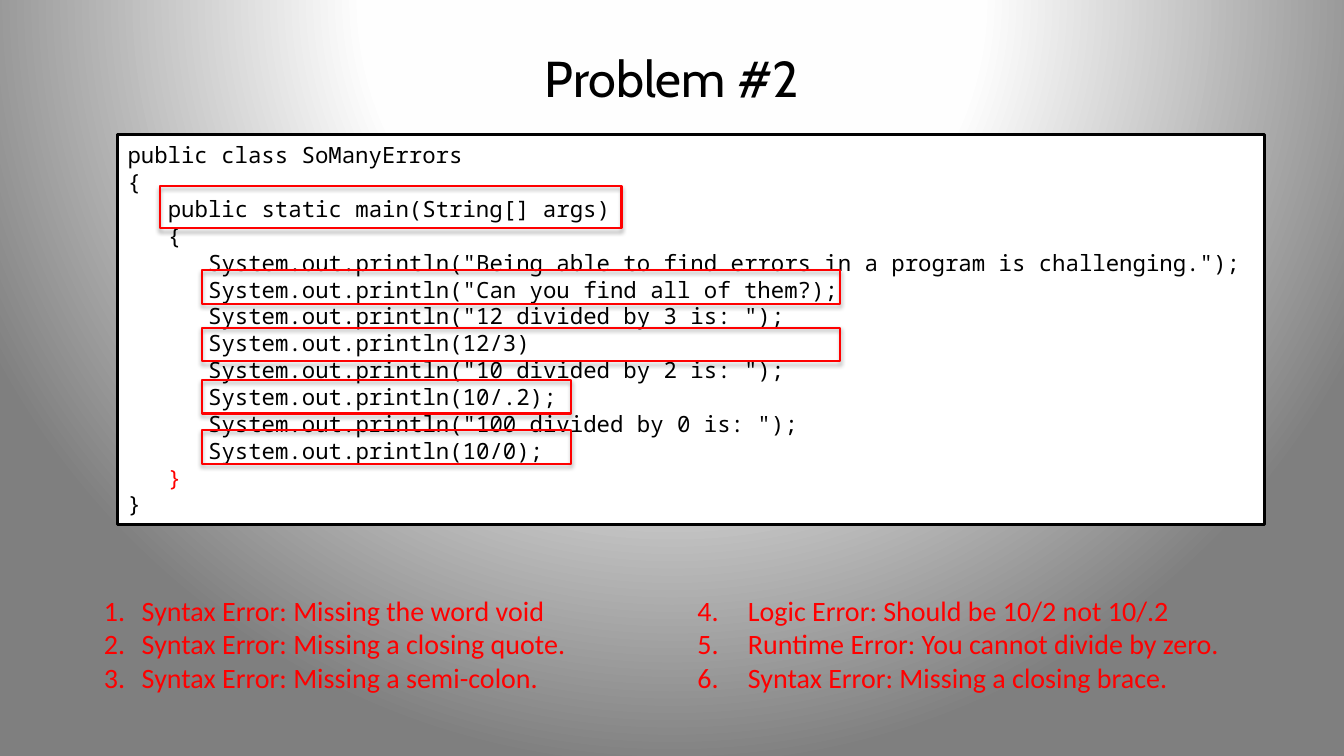
from dataclasses import dataclass

from pptx import Presentation
from pptx.dml.color import RGBColor
from pptx.enum.shapes import MSO_SHAPE
from pptx.enum.text import MSO_ANCHOR, MSO_AUTO_SIZE, PP_ALIGN
from pptx.oxml import parse_xml
from pptx.oxml.ns import nsdecls
from pptx.util import Pt


@dataclass(frozen=True)
class Theme:
    black: str = "000000"
    white: str = "FFFFFF"
    red: str = "FF0000"
    backdrop: tuple = ((0, "FFFFFF"), (40, "FEFEFE"), (100, "7F7F7F"))
    title_font: str = "Cabin"
    code_font: str = "Noto Sans Mono"
    list_font: str = "Calibri"
    title_size: float = 36
    code_size: float = 16
    list_size: float = 20
    code_leading: float = 19.2
    code_indent: float = 28.8


@dataclass(frozen=True)
class Box:
    left: float
    top: float
    width: float
    height: float


@dataclass(frozen=True)
class CodeLine:
    level: int
    text: str
    color: str = Theme.black


@dataclass(frozen=True)
class ErrorList:
    box: Box
    start: int
    indent: float
    items: tuple


T = Theme()
TITLE_BOX = Box(48, 18, 864, 74)
CODE_BOX = Box(84, 96, 819.4, 278.6)

CODE = (
    CodeLine(0, "public class SoManyErrors"),
    CodeLine(0, "{"),
    CodeLine(1, "public static main(String[] args)"),
    CodeLine(1, "{"),
    CodeLine(2, 'System.out.println("Being able to find errors in a program is challenging.");'),
    CodeLine(2, 'System.out.println("Can you find all of them?);'),
    CodeLine(2, 'System.out.println("12 divided by 3 is: ");'),
    CodeLine(2, "System.out.println(12/3)"),
    CodeLine(2, 'System.out.println("10 divided by 2 is: ");'),
    CodeLine(2, "System.out.println(10/.2);"),
    CodeLine(2, 'System.out.println("100 divided by 0 is: ");'),
    CodeLine(2, "System.out.println(10/0);"),
    CodeLine(1, "}", T.red),
    CodeLine(0, "}"),
)

HIGHLIGHTS = (
    Box(114, 133.2, 330, 30),
    Box(144, 193, 456, 24),
    Box(144, 234, 456, 24),
    Box(144, 271.4, 264, 24),
    Box(144, 307.4, 264, 24),
)

ERROR_LISTS = (
    ErrorList(Box(67, 420, 345.6, 80), 1, 27, (
        "Syntax Error: Missing the word void",
        "Syntax Error: Missing a closing quote.",
        "Syntax Error: Missing a semi-colon.",
    )),
    ErrorList(Box(491, 420, 391, 80), 4, 36, (
        "Logic Error: Should be 10/2 not 10/.2",
        "Runtime Error: You cannot divide by zero.",
        "Syntax Error: Missing a closing brace.",
    )),
)


def place(sp, box: Box) -> None:
    sp.left, sp.top = Pt(box.left), Pt(box.top)
    sp.width, sp.height = Pt(box.width), Pt(box.height)


def write(p, text: str, *, font: str, size: float, color: str, align=PP_ALIGN.LEFT,
          leading=None, left: float = 0, hanging: float = 0) -> None:
    p.alignment = align
    p.space_before = p.space_after = Pt(0)
    if leading:
        p.line_spacing = Pt(leading)
    pPr = p._p.get_or_add_pPr()
    pPr.set("marL", str(Pt(left)))
    pPr.set("indent", str(-Pt(hanging)))
    r = p.add_run()
    r.text = text
    r.font.name, r.font.size = font, Pt(size)
    r.font.color.rgb = RGBColor.from_string(color)


def paragraphs(tf, count: int) -> list:
    return [tf.paragraphs[0]] + [tf.add_paragraph() for _ in range(count - 1)]


def setup_frame(tf, anchor) -> None:
    tf.auto_size = MSO_AUTO_SIZE.NONE
    tf.word_wrap = True
    tf.vertical_anchor = anchor


def add_rect(s, box: Box, line: str, weight: float):
    sp = s.shapes.add_shape(MSO_SHAPE.RECTANGLE, Pt(box.left), Pt(box.top),
                            Pt(box.width), Pt(box.height))
    sp.shadow.inherit = False
    sp.fill.background()
    sp.line.color.rgb = RGBColor.from_string(line)
    sp.line.width = Pt(weight)
    return sp


def set_background(s) -> None:
    s.background.fill.solid()
    solid = s._element.xpath("./p:cSld/p:bg/p:bgPr/a:solidFill")[0]
    stops = "".join(f'<a:gs pos="{pos * 1000}"><a:srgbClr val="{color}"/></a:gs>'
                    for pos, color in T.backdrop)
    solid.getparent().replace(solid, parse_xml(
        f'<a:gradFill {nsdecls("a")} rotWithShape="1"><a:gsLst>{stops}</a:gsLst>'
        '<a:path path="circle"><a:fillToRect l="50000" t="-80000" r="50000" b="180000"/>'
        '</a:path></a:gradFill>'))


def add_code(s) -> None:
    sp = add_rect(s, CODE_BOX, T.black, 2)
    sp.fill.solid()
    sp.fill.fore_color.rgb = RGBColor.from_string(T.white)
    tf = sp.text_frame
    setup_frame(tf, MSO_ANCHOR.MIDDLE)
    for p, line in zip(paragraphs(tf, len(CODE)), CODE):
        write(p, line.text, font=T.code_font, size=T.code_size, color=line.color,
              leading=T.code_leading, left=line.level * T.code_indent)


def add_highlight(s, box: Box) -> None:
    sp = add_rect(s, box, T.red, 1.5)
    effects = sp._element.spPr.xpath("./a:effectLst")[0]
    effects.append(parse_xml(
        f'<a:outerShdw {nsdecls("a")} blurRad="{Pt(3.1)}" dist="{Pt(1.8)}" dir="5400000" '
        f'rotWithShape="0"><a:srgbClr val="{T.black}"><a:alpha val="35000"/></a:srgbClr>'
        '</a:outerShdw>'))


def fill_list(sp, errors: ErrorList) -> None:
    place(sp, errors.box)
    tf = sp.text_frame
    setup_frame(tf, MSO_ANCHOR.TOP)
    for p, item in zip(paragraphs(tf, len(errors.items)), errors.items):
        write(p, item, font=T.list_font, size=T.list_size, color=T.red,
              left=errors.indent, hanging=errors.indent)
        p._p.get_or_add_pPr().append(parse_xml(
            f'<a:buAutoNum {nsdecls("a")} type="arabicPeriod" startAt="{errors.start}"/>'))


def main() -> None:
    prs = Presentation()
    prs.slide_width, prs.slide_height = Pt(960), Pt(540)
    s = prs.slides.add_slide(prs.slide_layouts[3])
    set_background(s)

    # Title
    title = s.shapes.title
    place(title, TITLE_BOX)
    setup_frame(title.text_frame, MSO_ANCHOR.MIDDLE)
    write(title.text_frame.paragraphs[0], "Problem #2", font=T.title_font,
          size=T.title_size, color=T.black, align=PP_ALIGN.CENTER)

    # Program with its faulty lines framed
    add_code(s)
    for box in HIGHLIGHTS:
        add_highlight(s, box)

    # Numbered explanations
    for idx, errors in enumerate(ERROR_LISTS, start=1):
        fill_list(s.placeholders[idx], errors)

    prs.save("out.pptx")


if __name__ == "__main__":
    main()
